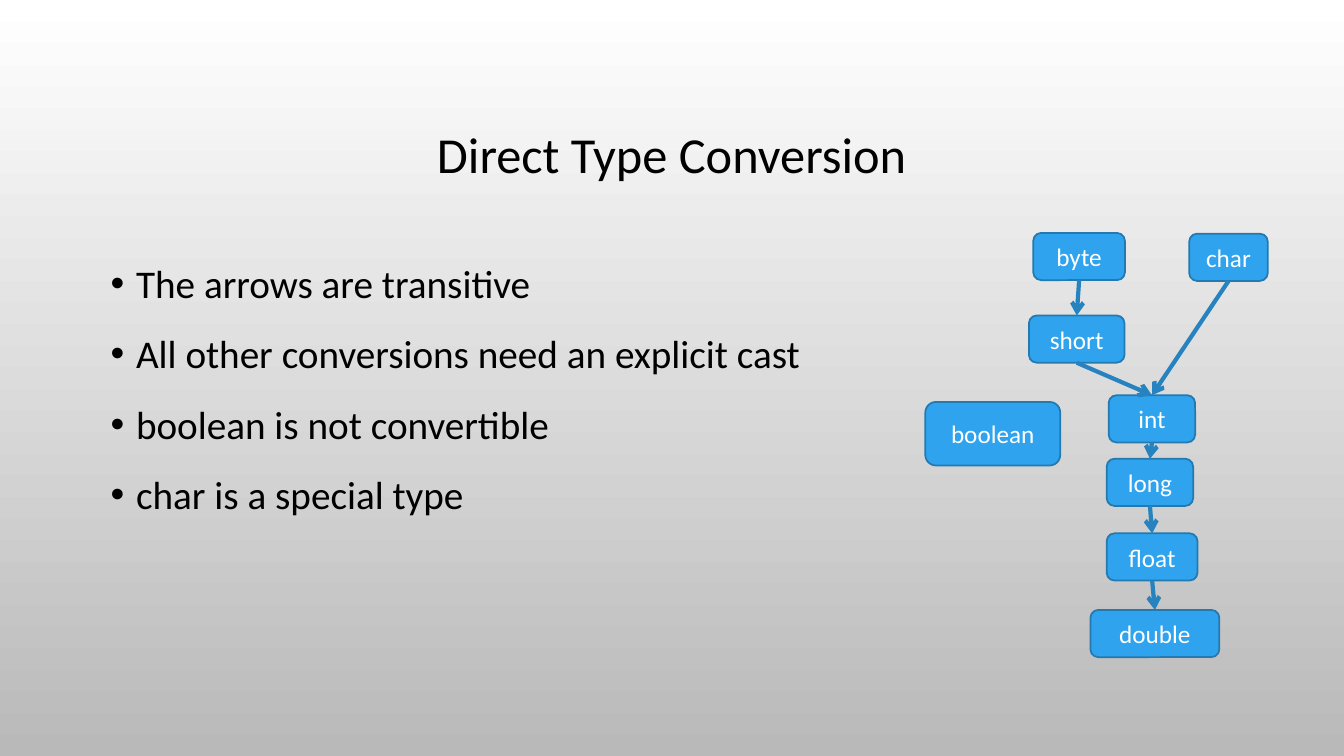
from lxml import etree
from pptx import Presentation
from pptx import util as u
from pptx.dml.color import RGBColor
from pptx.enum import shapes, text
from pptx.oxml import ns

BLACK = RGBColor(0x00, 0x00, 0x00)
WHITE = RGBColor(0xFF, 0xFF, 0xFF)
GREY = RGBColor(0xB9, 0xB9, 0xB9)
NODE_BLUE = RGBColor(0x2F, 0xA3, 0xEE)
BORDER_BLUE = RGBColor(0x23, 0x79, 0xB0)
ARROW_BLUE = RGBColor(0x26, 0x83, 0xBF)

NODE_HEIGHT = 1.19
TYPES = {
    "byte": (26.04, 5.87, 2.31, NODE_HEIGHT),
    "char": (29.97, 5.89, 1.98, NODE_HEIGHT),
    "short": (25.93, 7.95, 2.41, NODE_HEIGHT),
    "int": (27.94, 9.96, 2.18, NODE_HEIGHT),
    "long": (27.89, 11.56, 2.18, NODE_HEIGHT),
    "float": (27.89, 13.44, 2.29, NODE_HEIGHT),
    "double": (27.48, 15.37, 3.25, NODE_HEIGHT),
    "boolean": (23.32, 10.13, 3.4, 1.6),
}
CONVERSIONS = [
    ("byte", "short"), ("short", "int"), ("char", "int"),
    ("int", "long"), ("long", "float"), ("float", "double"),
]
RULES = [
    "The arrows are transitive",
    "All other conversions need an explicit cast",
    "boolean is not convertible",
    "char is a special type",
]


class ConversionSlide:
    """Hold the slide and its style, and draw each kind of element."""

    font_name = "Calibri"
    title_format = {"alignment": text.PP_ALIGN.CENTER, "line_spacing": 0.9}
    rule_format = {"line_spacing": 1.2, "space_before": u.Pt(10)}
    node_format = {"alignment": text.PP_ALIGN.CENTER}

    def __init__(self, deck):
        self.slide = deck.slides.add_slide(deck.slide_layouts[6])

    def background(self, top, bottom):
        fill = self.slide.background.fill
        fill.gradient()
        fill.gradient_angle = 270
        for stop, color in zip(fill.gradient_stops, (top, bottom)):
            stop.color.rgb = color

    def set_text(self, frame, lines, size, color, paragraph_format, anchor):
        frame.word_wrap = True
        frame.vertical_anchor = anchor
        font_format = {"name": self.font_name, "size": u.Pt(size)}
        frame.text = "\n".join(lines)
        for paragraph in frame.paragraphs:
            font = paragraph.runs[0].font
            for target, values in ((paragraph, paragraph_format),
                                   (font, font_format)):
                for key, value in values.items():
                    setattr(target, key, value)
            font.color.rgb = color

    def title(self, words, box):
        frame = self.slide.shapes.add_textbox(*map(u.Cm, box)).text_frame
        self.set_text(frame, [words], 36, BLACK, self.title_format,
                      text.MSO_ANCHOR.MIDDLE)

    def bullets(self, lines, box):
        frame = self.slide.shapes.add_textbox(*map(u.Cm, box)).text_frame
        self.set_text(frame, lines, 28, BLACK, self.rule_format,
                      text.MSO_ANCHOR.TOP)
        indent = u.Cm(0.64)
        for paragraph in frame.paragraphs:
            properties = paragraph._p.get_or_add_pPr()
            properties.set("marL", str(indent))
            properties.set("indent", str(-indent))
            etree.SubElement(properties, ns.qn("a:buFont"), typeface="Arial")
            etree.SubElement(properties, ns.qn("a:buChar"), char="•")

    def node(self, label, box):
        node = self.slide.shapes.add_shape(
            shapes.MSO_SHAPE.ROUNDED_RECTANGLE, *map(u.Cm, box))
        node.shadow.inherit = False
        node.fill.solid()
        node.fill.fore_color.rgb = NODE_BLUE
        node.line.color.rgb = BORDER_BLUE
        node.line.width = u.Pt(1.25)
        self.set_text(node.text_frame, [label], 18, WHITE, self.node_format,
                      text.MSO_ANCHOR.MIDDLE)
        return node

    def arrow(self, source, target):
        arrow = self.slide.shapes.add_connector(
            shapes.MSO_CONNECTOR.STRAIGHT, 0, 0, 0, 0)
        arrow.begin_connect(source, 2)
        arrow.end_connect(target, 0)
        arrow.line.color.rgb = ARROW_BLUE
        arrow.line.width = u.Pt(3)
        etree.SubElement(arrow.line._get_or_add_ln(), ns.qn("a:tailEnd"),
                         type="arrow")
        etree.SubElement(arrow._element.spPr, ns.qn("a:effectLst"))


def main():
    deck = Presentation()
    deck.slide_width, deck.slide_height = u.Cm(33.87), u.Cm(19.05)
    page = ConversionSlide(deck)
    page.background(WHITE, GREY)
    page.title("Direct Type Conversion", (2.54, 1.73, 28.78, 4.44))
    page.bullets(RULES, (2.54, 6.17, 28.78, 9.5))
    nodes = {label: page.node(label, box) for label, box in TYPES.items()}
    for source, target in CONVERSIONS:
        page.arrow(nodes[source], nodes[target])
    deck.save("out.pptx")


if __name__ == "__main__":
    main()
